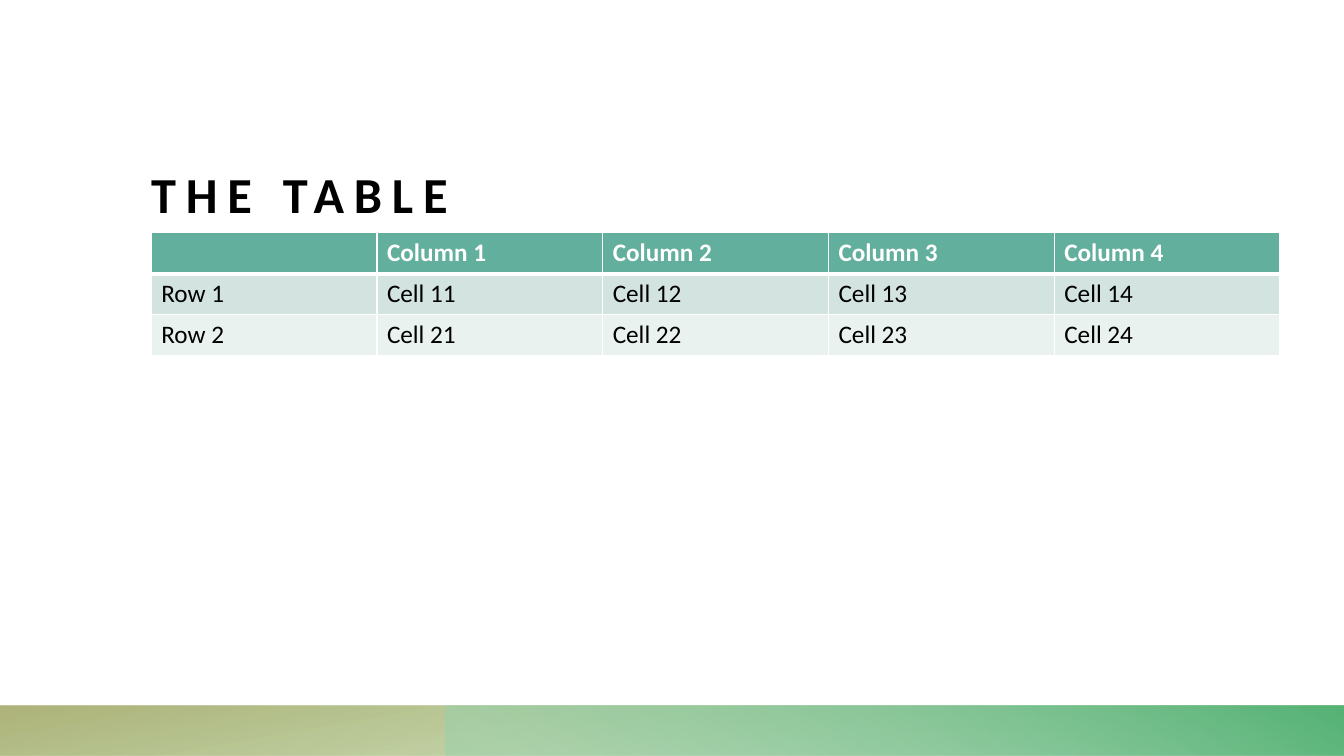
from dataclasses import dataclass

from lxml import etree
from pptx import Presentation
from pptx.dml.color import RGBColor
from pptx.enum import shapes, text
from pptx.oxml.ns import qn
from pptx.util import Pt


@dataclass(frozen=True)
class Theme:
    font: str = "Calibri"
    title_size: int = 36
    table_size: int = 18
    ink: str = "000000"
    paper: str = "FFFFFF"
    header: str = "63AF9D"
    row_fills: tuple = ("D3E3DF", "EAF2EF")
    # Gradient stops: position, colour, opacity in percent
    olive: tuple = ((14, "80AE53", 28), (100, "A0A662", 85))
    green: tuple = ((9, "9AD1AD", 55), (99, "56B376", 100))


THEME = Theme()
SLIDE_WIDTH, SLIDE_HEIGHT = 960, 540
BAND_HEIGHT = 36
GREEN_LEFT = 318
CONTENT_LEFT, CONTENT_WIDTH = 108, 806.4
TABLE_TOP, ROW_HEIGHT = 166.3, 29.28
COLUMN_COUNT, ROW_COUNT = 4, 2


def format_run(run, size, color, bold=False):
    run.font.name = THEME.font
    run.font.size = Pt(size)
    run.font.bold = bold
    run.font.color.rgb = RGBColor.from_string(color)


def add_footer_band(slide, left, stops, angle):
    """Add a gradient band from left to the right edge, behind the title."""
    band = slide.shapes.add_shape(
        shapes.MSO_SHAPE.RECTANGLE, Pt(left), Pt(SLIDE_HEIGHT - BAND_HEIGHT),
        Pt(SLIDE_WIDTH - left), Pt(BAND_HEIGHT))
    band.shadow.inherit = False
    band.line.fill.background()
    band.fill.gradient()
    band.fill.gradient_angle = angle
    for stop, (position, color, opacity) in zip(band.fill.gradient_stops, stops):
        stop.position = position / 100
        stop.color.rgb = RGBColor.from_string(color)
    colors = band.element.spPr.iter(qn("a:srgbClr"))
    for color_element, (_, _, opacity) in zip(colors, stops):
        alpha = etree.SubElement(color_element, qn("a:alpha"))
        alpha.set("val", str(opacity * 1000))
    slide.shapes.title.element.addprevious(band.element)


def set_title(slide, wording):
    title = slide.shapes.title
    title.left, title.top = Pt(CONTENT_LEFT), Pt(62.6)
    title.width, title.height = Pt(CONTENT_WIDTH), Pt(97.2)
    frame = title.text_frame
    frame.text = wording
    frame.word_wrap = True
    frame.auto_size = text.MSO_AUTO_SIZE.NONE
    frame.vertical_anchor = text.MSO_ANCHOR.BOTTOM
    frame.margin_left = frame.margin_right = 0
    frame.margin_top = frame.margin_bottom = 0
    paragraph = frame.paragraphs[0]
    paragraph.alignment = text.PP_ALIGN.LEFT
    run = paragraph.runs[0]
    format_run(run, THEME.title_size, THEME.ink, bold=True)
    run.font._element.set("spc", "700")


def set_borders(cell, widths):
    """Draw the borders; they must precede the fill in the cell properties."""
    properties = cell._tc.get_or_add_tcPr()
    for index, (side, width) in enumerate(widths.items()):
        line = etree.Element(qn(f"a:ln{side}"), w=str(Pt(width)))
        fill = etree.SubElement(line, qn("a:solidFill"))
        etree.SubElement(fill, qn("a:srgbClr"), val=THEME.paper)
        properties.insert(index, line)


def format_cell(cell, wording, row):
    is_header = row == 0
    cell.text = wording
    cell.fill.solid()
    cell.fill.fore_color.rgb = RGBColor.from_string(
        THEME.header if is_header else THEME.row_fills[(row - 1) % 2])
    paragraph = cell.text_frame.paragraphs[0]
    paragraph.font.size = Pt(THEME.table_size)
    for run in paragraph.runs:
        format_run(run, THEME.table_size,
                   THEME.paper if is_header else THEME.ink, bold=is_header)
    set_borders(cell, {"L": 1, "R": 1, "T": 3 if row == 1 else 1,
                       "B": 3 if is_header else 1})


def add_table(slide, rows):
    table = slide.shapes.add_table(
        len(rows), len(rows[0]), Pt(CONTENT_LEFT), Pt(TABLE_TOP),
        Pt(CONTENT_WIDTH), Pt(ROW_HEIGHT * len(rows))).table
    for column in table.columns:
        column.width = Pt(CONTENT_WIDTH / len(rows[0]))
    for row_index, row in enumerate(rows):
        table.rows[row_index].height = Pt(ROW_HEIGHT)
        for column_index, wording in enumerate(row):
            format_cell(table.cell(row_index, column_index), wording, row_index)


def main():
    presentation = Presentation()
    presentation.slide_width = Pt(SLIDE_WIDTH)
    presentation.slide_height = Pt(SLIDE_HEIGHT)
    slide = presentation.slides.add_slide(presentation.slide_layouts[5])

    # Footer bands
    add_footer_band(slide, 0, THEME.olive, 100)
    add_footer_band(slide, GREEN_LEFT, THEME.green, 60)

    # Title and table
    set_title(slide, "THE TABLE")
    columns = range(1, COLUMN_COUNT + 1)
    header = [""] + [f"Column {column}" for column in columns]
    body = [[f"Row {row}"] + [f"Cell {row}{column}" for column in columns]
            for row in range(1, ROW_COUNT + 1)]
    add_table(slide, [header] + body)

    presentation.save("out.pptx")


main()
